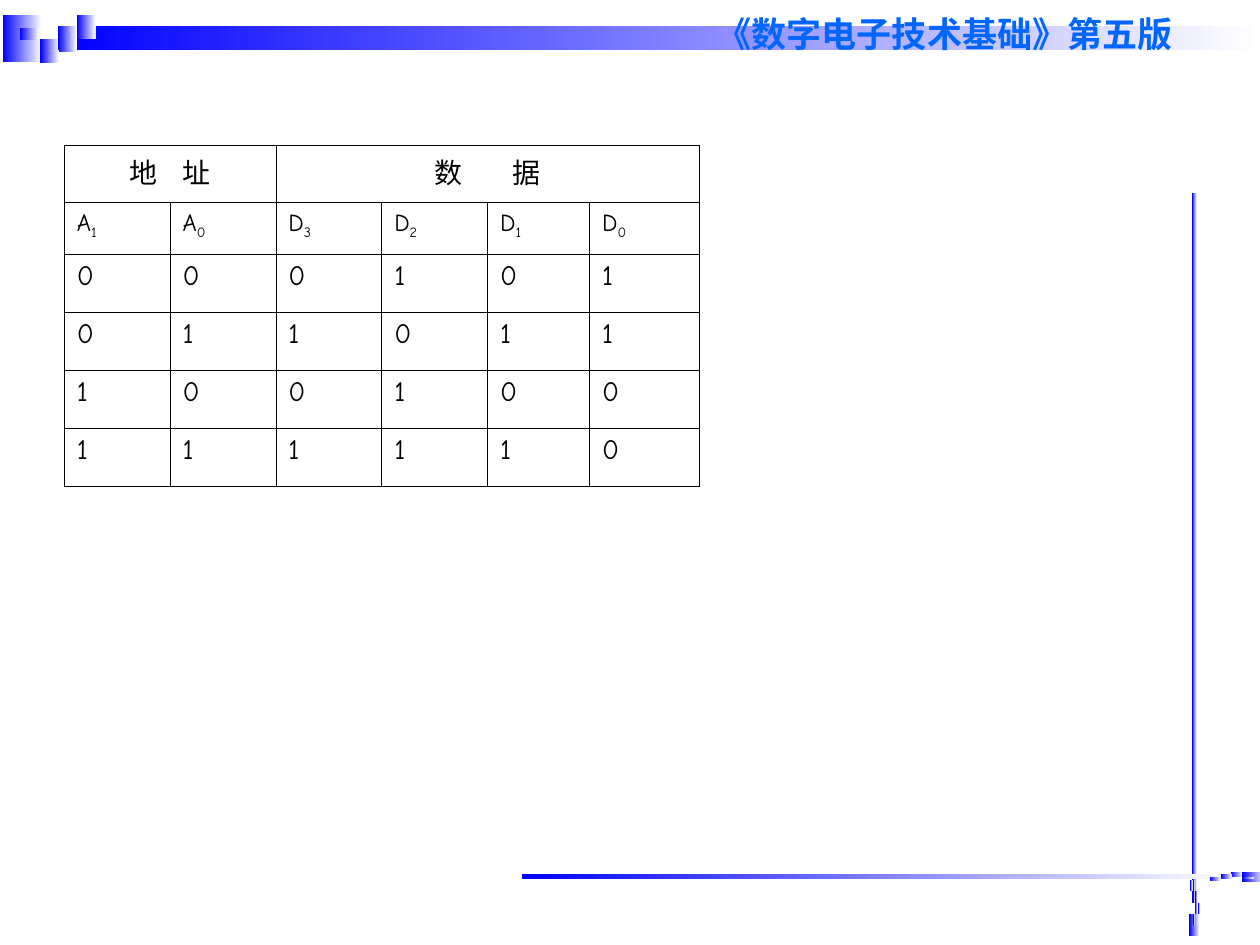
from dataclasses import dataclass

from lxml.etree import SubElement
from pptx import Presentation
from pptx.dml.color import RGBColor
from pptx.enum.shapes import MSO_SHAPE
from pptx.enum.text import MSO_AUTO_SIZE, PP_ALIGN
from pptx.oxml.ns import qn
from pptx.util import Inches, Pt


@dataclass(frozen=True)
class Theme:
    white: str = "FFFFFF"
    blue: str = "0000FF"
    heading: str = "0066FF"
    black: str = "000000"
    heading_font: str = "Arial"
    table_font: str = "Comic Neue"
    heading_size: float = 20
    body_size: float = 16
    label_size: float = 14
    border: float = 0.45


THEME = Theme()

# Each ornament: rotation, block, bar, chip size, chip positions
ORNAMENTS = [
    (0, (0.02, 0.12, 0.31, 0.37), (0.47, 0.21, 9.53, 0.19), (0.15, 0.1),
     [(0.46, 0.21), (0.61, 0.12), (0.61, 0.21), (0.32, 0.31),
      (0.16, 0.22), (0.46, 0.31), (0.32, 0.4)]),
    (270, (9.39, 7.3, 0.18, 0.08), (6.66, 4.33, 5.64, 0.04), (0.09, 0.02),
     [(9.43, 7.11), (9.41, 7.02), (9.43, 7.02), (9.45, 7.2),
      (9.43, 7.29), (9.45, 7.11), (9.47, 7.2)]),
    (180, (9.86, 6.92, 0.18, 0.08), (4.14, 6.94, 5.64, 0.04), (0.09, 0.02),
     [(9.69, 6.96), (9.6, 6.97), (9.6, 6.96), (9.77, 6.94),
      (9.86, 6.96), (9.69, 6.94), (9.77, 6.92)]),
]

COLUMN_WIDTHS = [0.84, 0.84, 0.84, 0.84, 0.81, 0.87]
ROW_HEIGHTS = [0.46, 0.41, 0.46, 0.46, 0.46, 0.46]
# First column, last column, two characters, extra points between them
HEADERS = [(0, 1, "地址", 11), (2, 5, "数据", 25)]
LABELS = ["A1", "A0", "D3", "D2", "D1", "D0"]
ROM_WORDS = ["000101", "011011", "100100", "111110"]


def style_run(r, size, font, color, bold=False):
    r.font.size = Pt(size)
    r.font.name = font
    r.font.bold = bold
    r.font.color.rgb = RGBColor.from_string(color)


def add_gradient_rect(slide, box, rotation):
    sp = slide.shapes.add_shape(MSO_SHAPE.RECTANGLE, *map(Inches, box))
    sp.rotation = rotation
    sp.shadow.inherit = False
    sp.line.fill.background()
    sp.fill.gradient()
    sp.fill.gradient_angle = 180
    for stop, color in zip(sp.fill.gradient_stops, (THEME.white, THEME.blue)):
        stop.color.rgb = RGBColor.from_string(color)
    # The gradient keeps its direction when the rectangle is turned
    sp.element.spPr.find(qn("a:gradFill")).set("rotWithShape", "0")


def add_ornament(slide, rotation, block, bar, chip_size, chips):
    for box in [block, bar] + [chip + chip_size for chip in chips]:
        add_gradient_rect(slide, box, rotation)


def add_book_heading(slide, text):
    tb = slide.shapes.add_textbox(Inches(5.59), Inches(0.05),
                                  Inches(4.06), Inches(0.44))
    tf = tb.text_frame
    tf.word_wrap = True
    tf.auto_size = MSO_AUTO_SIZE.SHAPE_TO_FIT_TEXT
    tf.text = text
    style_run(tf.paragraphs[0].runs[0], THEME.heading_size,
              THEME.heading_font, THEME.heading, bold=True)


def style_cell(cell):
    tc_pr = cell._tc.get_or_add_tcPr()
    for side in ("lnL", "lnR", "lnT", "lnB"):
        ln = SubElement(tc_pr, qn(f"a:{side}"), w=str(Pt(THEME.border)))
        fill = SubElement(ln, qn("a:solidFill"))
        SubElement(fill, qn("a:srgbClr"), val=THEME.black)
    cell.fill.background()


def write_cell(cell, parts, size, space_before, align=PP_ALIGN.LEFT):
    """Write one run per part and return the runs."""
    p = cell.text_frame.paragraphs[0]
    p.alignment = align
    p.space_before = Pt(space_before)
    for part in parts:
        r = p.add_run()
        r.text = part
        style_run(r, size, THEME.table_font, THEME.black)
    return p.runs


def add_rom_table(slide):
    frame = slide.shapes.add_table(
        len(ROW_HEIGHTS), len(COLUMN_WIDTHS), Inches(0.51), Inches(1.15),
        Inches(sum(COLUMN_WIDTHS)), Inches(sum(ROW_HEIGHTS)))
    table = frame.table
    table.first_row = table.horz_banding = False
    for column, width in zip(table.columns, COLUMN_WIDTHS):
        column.width = Inches(width)
    for row, height in zip(table.rows, ROW_HEIGHTS):
        row.height = Inches(height)
    for cell in table.iter_cells():
        style_cell(cell)

    # Merged headers, with a widened space between the characters
    for first, last, (left, right), gap in HEADERS:
        cell = table.cell(0, first)
        cell.merge(table.cell(0, last))
        runs = write_cell(cell, [left, " ", right], THEME.body_size, 4,
                          PP_ALIGN.CENTER)
        runs[1].font._element.set("spc", str(gap * 100))

    # Signal names with subscripts
    for col, label in enumerate(LABELS):
        runs = write_cell(table.cell(1, col), label, THEME.label_size, 3.5)
        runs[1].font._element.set("baseline", "-25000")

    # Address and data bits
    for row, word in enumerate(ROM_WORDS, start=2):
        for col, bit in enumerate(word):
            write_cell(table.cell(row, col), bit, THEME.body_size, 4)


def main():
    prs = Presentation()
    prs.slide_width, prs.slide_height = Inches(10), Inches(7.5)
    slide = prs.slides.add_slide(prs.slide_layouts[6])
    for ornament in ORNAMENTS:
        add_ornament(slide, *ornament)
    add_book_heading(slide, "《数字电子技术基础》第五版")
    add_rom_table(slide)
    prs.save("out.pptx")


if __name__ == "__main__":
    main()
